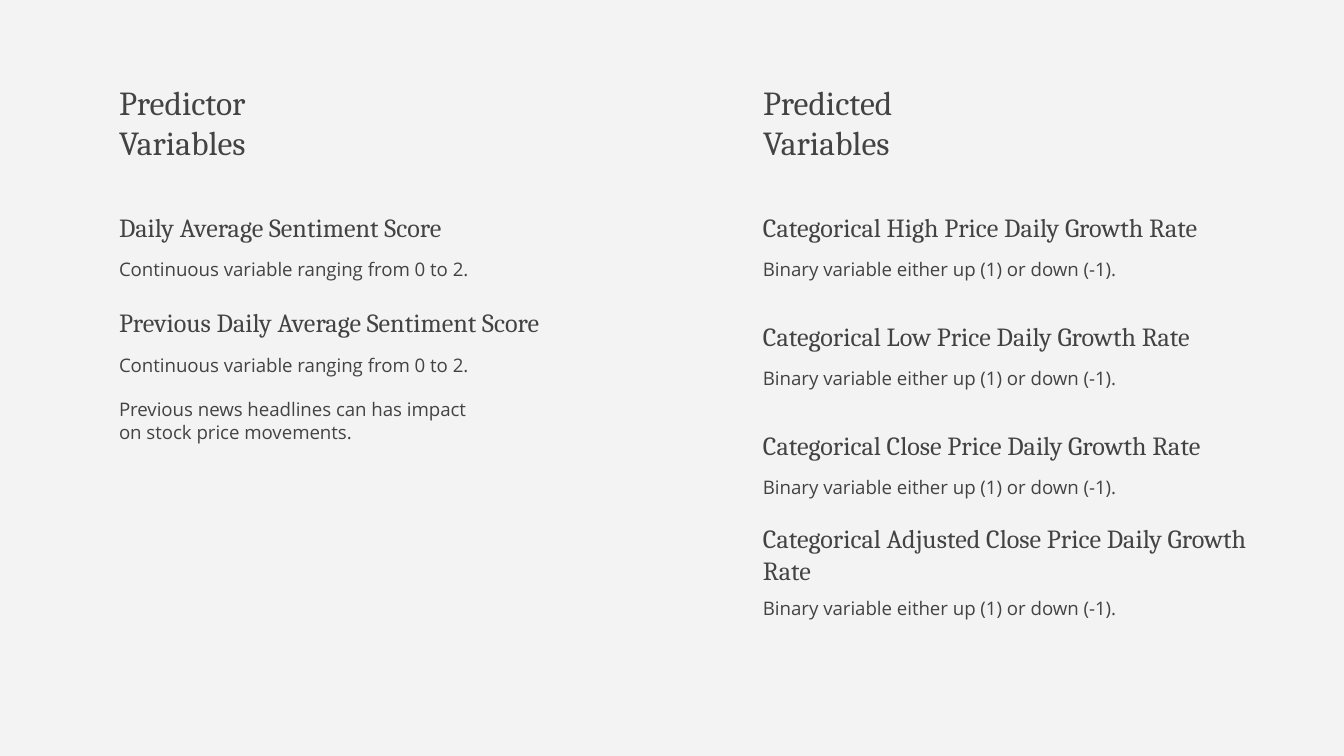
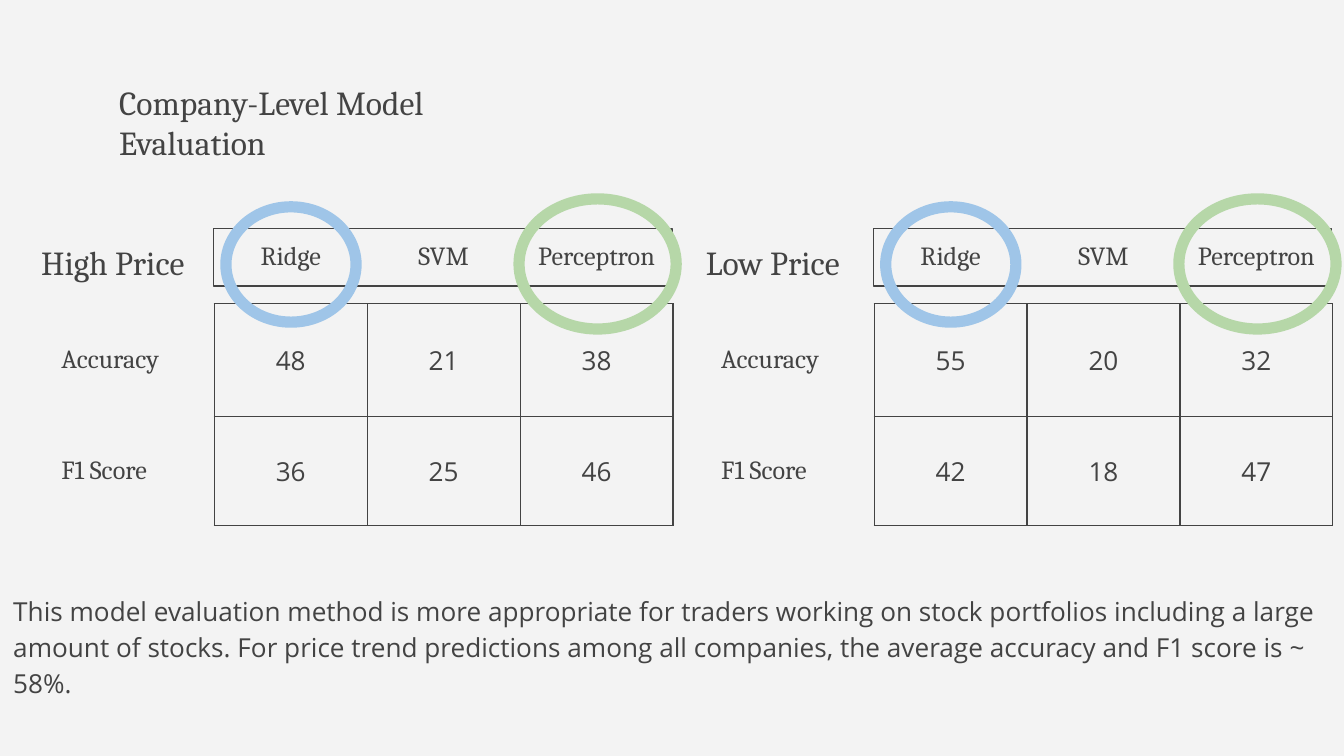
"""Build two slides: the study's variables and the company-level model evaluation."""
from lxml import etree
from pptx import Presentation
from pptx.dml.color import RGBColor
from pptx.enum.shapes import MSO_SHAPE
from pptx.enum.text import MSO_ANCHOR, MSO_AUTO_SIZE, PP_ALIGN
from pptx.oxml.ns import qn
from pptx.util import Cm, Pt

TOP, MIDDLE = MSO_ANCHOR.TOP, MSO_ANCHOR.MIDDLE
LEFT, CENTER = PP_ALIGN.LEFT, PP_ALIGN.CENTER
RECTANGLE, ROUNDED, OVAL = MSO_SHAPE.RECTANGLE, MSO_SHAPE.ROUNDED_RECTANGLE, MSO_SHAPE.OVAL
rgb = RGBColor.from_string
INK, PAPER, BLUE, GREEN = "434343", "F3F3F3", "9FC5E8", "B6D7A8"
SERIF, SANS = "Cambria", "Open Sans"
INSET = Cm(0.25)

FRAME = {"word_wrap": True, "auto_size": MSO_AUTO_SIZE.NONE, "vertical_anchor": TOP,
         "margin_left": INSET, "margin_right": INSET, "margin_top": INSET, "margin_bottom": INSET}
HEADING_FRAME = {**FRAME, "vertical_anchor": MIDDLE}
DETAIL_FRAME = {**FRAME, "margin_top": 0}
HEADER_CELL = {"margin_left": 0, "margin_right": 0, "margin_top": INSET,
               "margin_bottom": INSET, "vertical_anchor": TOP}
SCORE_CELL = {**HEADER_CELL, "vertical_anchor": MIDDLE}


def write(text_frame, lines, font, size, holder=None, layout=FRAME, **paragraph_format):
    """Fill a text frame, formatting the frame or the cell that holds it."""
    for attribute, value in layout.items():
        setattr(holder or text_frame, attribute, value)
    for index, line in enumerate(lines):
        paragraph = text_frame.add_paragraph() if index else text_frame.paragraphs[0]
        spacing = {"alignment": LEFT, "space_before": Pt(12 if index else 0)}
        for attribute, value in {**spacing, **paragraph_format}.items():
            setattr(paragraph, attribute, value)
        run = paragraph.add_run()
        run.text = line
        for attribute, value in {"name": font, "size": Pt(size), "bold": False}.items():
            setattr(run.font, attribute, value)
        run.font.color.rgb = rgb(INK)


def add_outline(slide, kind, box, color=None, width=0.75):
    """Add an unfilled shape, with a line only if a colour is given."""
    shape = slide.shapes.add_shape(kind, *map(Cm, box))
    shape.shadow.inherit = False
    shape.fill.background()
    if color:
        shape.line.color.rgb = rgb(color)
        shape.line.width = Pt(width)
    else:
        shape.line.fill.background()
    return shape


prs = Presentation()
prs.slide_width, prs.slide_height = Cm(25.4), Cm(14.29)
background = prs.slide_master.background.fill
background.solid()
background.fore_color.rgb = rgb(PAPER)
title_layout = prs.slide_layouts[0]
MARGIN, TITLE_TOP, TITLE_HEIGHT = 2, 1.3, 2.16

variables = prs.slides.add_slide(title_layout)
SCORE_RANGE = "Continuous variable ranging from 0 to 2."
UP_OR_DOWN = ["Binary variable either up (1) or down (-1)."]
predictors = [
    ("Daily Average Sentiment Score", 7.2, [SCORE_RANGE]),
    ("Previous Daily Average Sentiment Score", 9.25,
     [SCORE_RANGE, "Previous news headlines can has impact on stock price movements."]),
]
predicted = [(f"Categorical {price} Price Daily Growth Rate", 9.78, UP_OR_DOWN)
             for price in ("High", "Low", "Close", "Adjusted Close")]
columns = [("Predictor Variables", MARGIN, 1.8, predictors),
           ("Predicted Variables", 14.17, 2.06, predicted)]

for placeholder, (title, left, step, entries) in zip(variables.placeholders, columns):
    for side, value in zip(("left", "top", "width", "height"),
                           (left, TITLE_TOP, 4.34, TITLE_HEIGHT)):
        setattr(placeholder, side, Cm(value))
    write(placeholder.text_frame, [title], SERIF, 18)
    for row, (name, width, details) in enumerate(entries):
        top = 3.71 + row * step
        heading = add_outline(variables, ROUNDED, (left, top, width, 1.17))
        heading.adjustments[0] = 0
        write(heading.text_frame, [name], SERIF, 14, layout=HEADING_FRAME)
        drop = 1.4 if "Adjusted" in name else 1.17
        detail = variables.shapes.add_textbox(
            *map(Cm, (left, top + drop, 7.52, 0.89 if len(details) == 1 else 1.32)))
        write(detail.text_frame, details, SANS, 10, layout=DETAIL_FRAME)

evaluation = prs.slides.add_slide(title_layout)
title, conclusion = evaluation.placeholders
for placeholder, box in ((title, (MARGIN, TITLE_TOP, 7.39, TITLE_HEIGHT)),
                         (conclusion, (0, 10.92, 25.4, 1.85))):
    for side, value in zip(("left", "top", "width", "height"), box):
        setattr(placeholder, side, Cm(value))
write(title.text_frame, ["Company-Level Model Evaluation"], SERIF, 18)
write(conclusion.text_frame,
      ["This model evaluation method is more appropriate for traders working on stock "
       "portfolios including a large amount of stocks. For price trend predictions among all "
       "companies, the average accuracy and F1 score is ~ 58%."],
      SANS, 14, line_spacing=1.15, space_after=Pt(12))

MODELS = ["", "Ridge", "SVM", "Perceptron"]
panels = [
    ("High Price", 0.23, [MODELS, ["Accuracy", "48", "21", "38"], ["F1 Score", "36", "25", "46"]]),
    ("Low Price", 12.7, [MODELS, ["Accuracy", "55", "20", "32"], ["F1 Score", "42", "18", "47"]]),
]
PANEL_TOP, COLUMN_WIDTH, ROW_HEIGHTS = 4.32, 2.89, (1.42, 2.14, 2.06)

for price, left, scores in panels:
    header_left = left + 3.81
    add_outline(evaluation, RECTANGLE, (header_left, PANEL_TOP, 8.66, 1.09), INK)
    label = evaluation.shapes.add_textbox(*map(Cm, (left, PANEL_TOP, 3.81, 1.09)))
    write(label.text_frame, [price], SERIF, 18, alignment=CENTER)

    table = evaluation.shapes.add_table(
        3, 4, *map(Cm, (left + 0.93, PANEL_TOP, 4 * COLUMN_WIDTH, sum(ROW_HEIGHTS)))).table
    table.first_row = table.horz_banding = False
    for column in table.columns:
        column.width = Cm(COLUMN_WIDTH)
    for row, height in enumerate(ROW_HEIGHTS):
        table.rows[row].height = Cm(height)
        for col, value in enumerate(scores[row]):
            cell = table.cell(row, col)
            cell.fill.background()
            if value:
                write(cell.text_frame, [value], SANS if row and col else SERIF, 14, holder=cell,
                      layout=SCORE_CELL if row else HEADER_CELL,
                      alignment=CENTER if col else LEFT)
            ruled = "LRTB" if row and col else "B" if col else "R" if row else ""
            for index, side in enumerate("LRTB"):
                border = etree.Element(qn(f"a:ln{side}"), w=str(Pt(0.75)))
                if side in ruled:
                    fill = etree.SubElement(border, qn("a:solidFill"))
                    etree.SubElement(fill, qn("a:srgbClr"), val=INK)
                else:
                    etree.SubElement(border, qn("a:noFill"))
                cell._tc.get_or_add_tcPr().insert(index, border)

    add_outline(evaluation, OVAL, (header_left + 0.23, 3.91, 2.46, 2.18), BLUE, 6)
    add_outline(evaluation, OVAL, (header_left + 5.77, 3.76, 2.97, 2.46), GREEN, 6)

prs.save("out.pptx")
